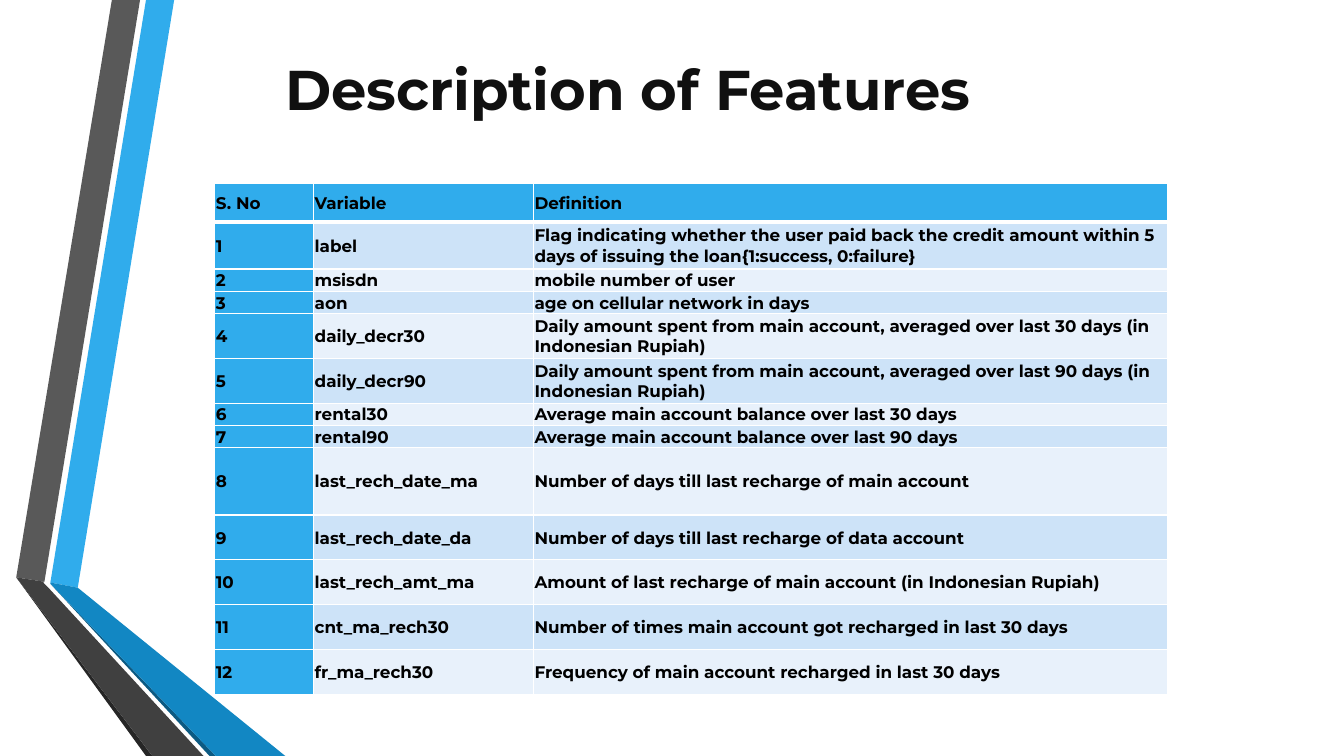
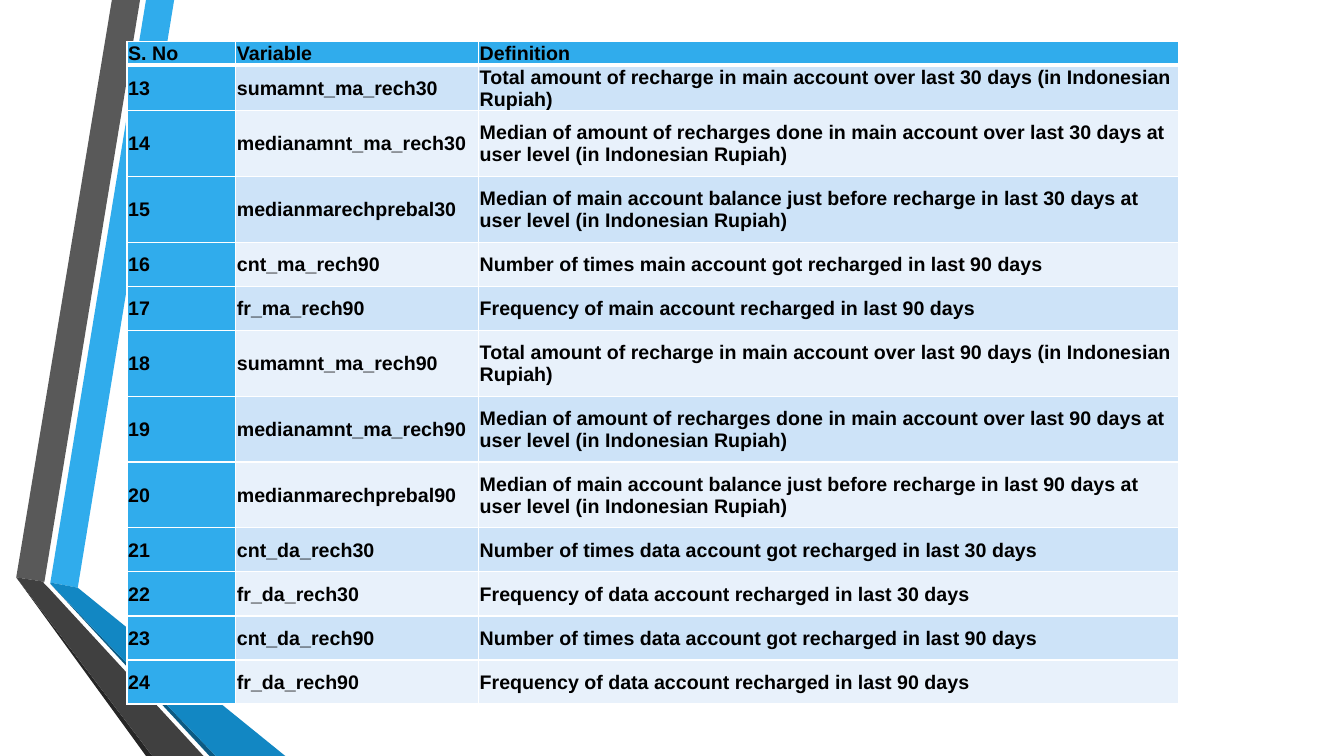
from dataclasses import dataclass
from typing import Any

import lxml.etree
import pptx
import pptx.dml.color
import pptx.enum.text
import pptx.oxml.ns
import pptx.util

Cm = pptx.util.Cm
Pt = pptx.util.Pt


@dataclass(frozen=True)
class Theme:
    accent: str = "30ACEC"
    accent_deep: str = "1287C3"
    accent_edge: str = "0C5A82"
    grey: str = "595959"
    grey_deep: str = "404040"
    grey_edge: str = "262626"
    band_odd: str = "CDE3F8"
    band_even: str = "E8F1FB"
    border: str = "FFFFFF"
    title_ink: str = "101010"
    table_ink: str = "000000"
    heading_font: str = "Montserrat"
    plain_font: str = "Arial"
    title_size: int = 40
    first_table_size: int = 12
    second_table_size: int = 14
    thin_border: int = 1
    header_border: int = 3


THEME = Theme()
TITLE_ONLY, BLANK = 5, 6
SLIDE_WIDTH, SLIDE_HEIGHT = 33.87, 19.05


@dataclass(frozen=True)
class Ribbon:
    """One flat piece of the folded side band, with its corners in cm."""
    color: str
    corners: tuple[tuple[float, float], ...]


@dataclass(frozen=True)
class Feature:
    variable: str
    definition: str
    height: float


@dataclass(frozen=True)
class FeatureTable:
    """Lengths are in cm; features are numbered from first_number."""
    left: float
    top: float
    columns: tuple[float, ...]
    header_height: float
    first_number: int
    font: str
    size: int
    features: tuple[Feature, ...]


RIBBONS = (
    Ribbon(THEME.accent, ((1.27, 14.68), (1.96, 14.81), (4.39, 0), (3.68, 0))),
    Ribbon(THEME.grey, ((3.53, 0), (2.82, 0), (0.41, 14.55), (1.12, 14.66))),
    Ribbon(THEME.grey_edge, ((0.41, 14.55), (3.68, SLIDE_HEIGHT), (3.84, SLIDE_HEIGHT))),
    Ribbon(THEME.accent_edge, ((1.27, 14.71), (5.28, SLIDE_HEIGHT), (5.44, SLIDE_HEIGHT))),
    Ribbon(THEME.accent_deep, ((1.27, 14.71), (5.44, SLIDE_HEIGHT), (7.19, SLIDE_HEIGHT),
                               (1.96, 14.81), (1.27, 14.68))),
    Ribbon(THEME.grey_deep, ((5.13, SLIDE_HEIGHT), (1.22, 14.81), (1.09, 14.68), (1.12, 14.66),
                             (0.41, 14.55), (3.84, SLIDE_HEIGHT))),
)

HEADINGS = ("S. No", "Variable", "Definition")

FIRST_FEATURES = FeatureTable(
    left=5.41, top=4.62, columns=(2.49, 5.54, 15.98), header_height=0.97, first_number=1,
    font=THEME.heading_font, size=THEME.first_table_size,
    features=(
        Feature("label", "Flag indicating whether the user paid back the credit amount within 5 "
                "days of issuing the loan{1:success, 0:failure}", 1.19),
        Feature("msisdn", "mobile number of user", 0.56),
        Feature("aon", "age on cellular network in days", 0.56),
        Feature("daily_decr30", "Daily amount spent from main account, averaged over last 30 days "
                "(in Indonesian Rupiah)", 1.13),
        Feature("daily_decr90", "Daily amount spent from main account, averaged over last 90 days "
                "(in Indonesian Rupiah)", 1.13),
        Feature("rental30", "Average main account balance over last 30 days", 0.56),
        Feature("rental90", "Average main account balance over last 90 days", 0.56),
        Feature("last_rech_date_ma", "Number of days till last recharge of main account", 1.7),
        Feature("last_rech_date_da", "Number of days till last recharge of data account", 1.13),
        Feature("last_rech_amt_ma",
                "Amount of last recharge of main account (in Indonesian Rupiah)", 1.13),
        Feature("cnt_ma_rech30", "Number of times main account got recharged in last 30 days", 1.13),
        Feature("fr_ma_rech30", "Frequency of main account recharged in last 30 days", 1.13),
    ),
)

SECOND_FEATURES = FeatureTable(
    left=3.2, top=1.04, columns=(2.74, 6.12, 17.65), header_height=0.6, first_number=13,
    font=THEME.plain_font, size=THEME.second_table_size,
    features=(
        Feature("sumamnt_ma_rech30", "Total amount of recharge in main account over last 30 days "
                "(in Indonesian Rupiah)", 1.11),
        Feature("medianamnt_ma_rech30", "Median of amount of recharges done in main account over "
                "last 30 days at user level (in Indonesian Rupiah)", 1.66),
        Feature("medianmarechprebal30", "Median of main account balance just before recharge in "
                "last 30 days at user level (in Indonesian Rupiah)", 1.66),
        Feature("cnt_ma_rech90", "Number of times main account got recharged in last 90 days", 1.11),
        Feature("fr_ma_rech90", "Frequency of main account recharged in last 90 days", 1.11),
        Feature("sumamnt_ma_rech90", "Total amount of recharge in main account over last 90 days "
                "(in Indonesian Rupiah)", 1.66),
        Feature("medianamnt_ma_rech90", "Median of amount of recharges done in main account over "
                "last 90 days at user level (in Indonesian Rupiah)", 1.66),
        Feature("medianmarechprebal90", "Median of main account balance just before recharge in "
                "last 90 days at user level (in Indonesian Rupiah)", 1.66),
        Feature("cnt_da_rech30", "Number of times data account got recharged in last 30 days", 1.11),
        Feature("fr_da_rech30", "Frequency of data account recharged in last 30 days", 1.11),
        Feature("cnt_da_rech90", "Number of times data account got recharged in last 90 days", 1.11),
        Feature("fr_da_rech90", "Frequency of data account recharged in last 90 days", 1.11),
    ),
)


def rgb(color: str) -> pptx.dml.color.RGBColor:
    return pptx.dml.color.RGBColor.from_string(color)


def apply_format(target: Any, values: dict[str, Any]) -> None:
    for attribute, value in values.items():
        setattr(target, attribute, value)


def write_bold(frame: Any, text: str, font: str, size: int, color: str) -> Any:
    """Put one bold run in the frame and return its paragraph."""
    paragraph = frame.paragraphs[0]
    run = paragraph.add_run()
    run.text = text
    apply_format(run.font, {"name": font, "size": Pt(size), "bold": True})
    run.font.color.rgb = rgb(color)
    return paragraph


def draw_ribbons(slide: Any) -> None:
    for ribbon in RIBBONS:
        start, *others = [(Cm(x), Cm(y)) for x, y in ribbon.corners]
        outline = slide.shapes.build_freeform(*start)
        outline.add_line_segments(others, close=True)
        piece = outline.convert_to_shape()
        piece.shadow.inherit = False
        piece.fill.solid()
        piece.fill.fore_color.rgb = rgb(ribbon.color)
        piece.line.fill.background()


def draw_title(slide: Any, text: str) -> None:
    title = slide.shapes.title
    apply_format(title, {"left": Cm(0.58), "top": Cm(0), "width": Cm(30.48), "height": Cm(4.45)})
    apply_format(title.text_frame, {
        "word_wrap": True, "vertical_anchor": pptx.enum.text.MSO_ANCHOR.MIDDLE})
    paragraph = write_bold(title.text_frame, text, THEME.heading_font,
                           THEME.title_size, THEME.title_ink)
    paragraph.alignment = pptx.enum.text.PP_ALIGN.CENTER


def set_borders(cell: Any, row: int) -> None:
    """Thin white lines, with a thick one between header and body."""
    qn = pptx.oxml.ns.qn
    properties = cell._tc.get_or_add_tcPr()
    thick_side = {0: "B", 1: "T"}.get(row)
    for side in "LRTB":
        width = THEME.header_border if side == thick_side else THEME.thin_border
        line = lxml.etree.SubElement(properties, qn(f"a:ln{side}"), w=str(Pt(width)))
        fill = lxml.etree.SubElement(line, qn("a:solidFill"))
        lxml.etree.SubElement(fill, qn("a:srgbClr"), val=THEME.border)


def cell_color(row: int, column: int) -> str:
    if row == 0 or column == 0:
        return THEME.accent
    return THEME.band_odd if row % 2 else THEME.band_even


def draw_features(slide: Any, content: FeatureTable) -> None:
    heights = [content.header_height, *(feature.height for feature in content.features)]
    records = [HEADINGS] + [
        (str(number), feature.variable, feature.definition)
        for number, feature in enumerate(content.features, content.first_number)]
    table = slide.shapes.add_table(
        len(records), len(HEADINGS), Cm(content.left), Cm(content.top),
        Cm(sum(content.columns)), Cm(sum(heights))).table
    for column, width in zip(table.columns, content.columns):
        column.width = Cm(width)
    cell_format = {
        "margin_left": Cm(0.03), "margin_top": Cm(0.03), "margin_right": Cm(0.03),
        "margin_bottom": Cm(0), "vertical_anchor": pptx.enum.text.MSO_ANCHOR.MIDDLE}
    for row, (record, height) in enumerate(zip(records, heights)):
        table.rows[row].height = Cm(height)
        for column, text in enumerate(record):
            cell = table.cell(row, column)
            apply_format(cell, cell_format)
            set_borders(cell, row)
            cell.fill.solid()
            cell.fill.fore_color.rgb = rgb(cell_color(row, column))
            write_bold(cell.text_frame, text, content.font, content.size, THEME.table_ink)


def main() -> None:
    deck = pptx.Presentation()
    apply_format(deck, {"slide_width": Cm(SLIDE_WIDTH), "slide_height": Cm(SLIDE_HEIGHT)})
    for heading, content in (("Description of Features", FIRST_FEATURES), (None, SECOND_FEATURES)):
        slide = deck.slides.add_slide(deck.slide_layouts[TITLE_ONLY if heading else BLANK])
        draw_ribbons(slide)
        if heading:
            draw_title(slide, heading)
        draw_features(slide, content)
    deck.save("out.pptx")


if __name__ == "__main__":
    main()
